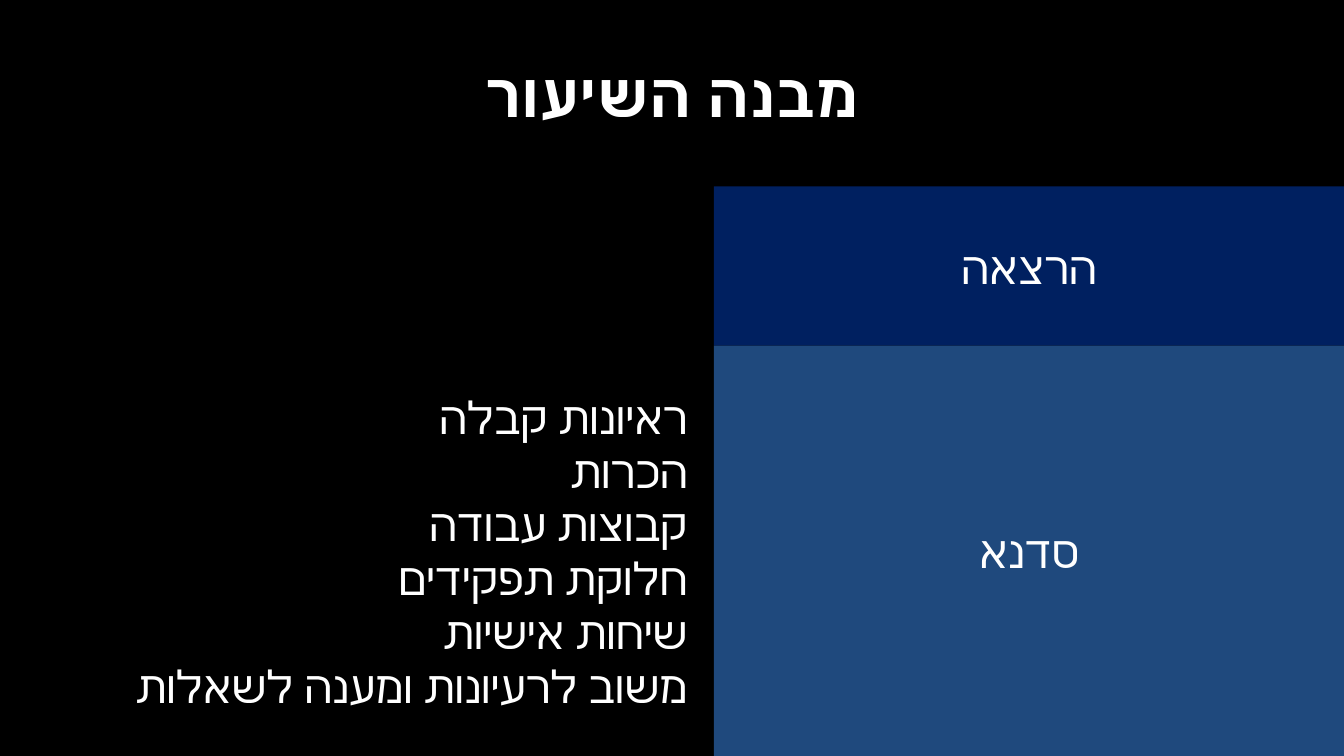
import pptx
import pptx.util
import pptx.dml.color
import pptx.enum.shapes
import pptx.enum.text
import pptx.oxml
import pptx.oxml.ns

WIDE, HIGH = 13.33, 7.5
TOP, MID, SPLIT = 1.85, 3.43, 7.08
FONT = "League Spartan"
INK = {"black": "000000", "navy": "002060", "blue": "1F497D", "white": "FFFFFF"}
ALIGN = pptx.enum.text.PP_ALIGN

deck = pptx.Presentation()
deck.slide_width = pptx.util.Inches(WIDE)
deck.slide_height = pptx.util.Inches(HIGH)
slide = deck.slides.add_slide(deck.slide_layouts[6])


def paint(fill, name):
    fill.solid()
    fill.fore_color.rgb = pptx.dml.color.RGBColor.from_string(INK[name])


def write(shape, lines, size, align, bold=False):
    frame = shape.text_frame
    frame.word_wrap = True
    frame.vertical_anchor = pptx.enum.text.MSO_ANCHOR.MIDDLE
    for i, line in enumerate(lines):
        para = frame.add_paragraph() if i else frame.paragraphs[0]
        para.alignment = align
        para._p.get_or_add_pPr().set("rtl", "1")
        run = para.add_run()
        run.text = line
        run.font.name = FONT
        run.font.size = pptx.util.Pt(size)
        run.font.bold = bold
        paint(run.font.fill, "white")
        script = pptx.oxml.parse_xml(f'<a:cs {pptx.oxml.ns.nsdecls("a")} typeface="{FONT}"/>')
        run.font._element.append(script)


paint(slide.background.fill, "black")

title = slide.shapes.add_textbox(*map(pptx.util.Inches, (WIDE * 0.05, 0.3, WIDE * 0.9, 1.25)))
write(title, ["מבנה השיעור"], 44, ALIGN.CENTER, True)

topics = [
    "ראיונות קבלה",
    "הכרות",
    "קבוצות עבודה",
    "חלוקת תפקידים",
    "שיחות אישיות",
    "משוב לרעיונות ומענה לשאלות",
]
panels = [
    (SPLIT, TOP, WIDE - SPLIT, MID - TOP, "navy", ["הרצאה"], ALIGN.CENTER),
    (SPLIT, MID, WIDE - SPLIT, HIGH - MID, "blue", ["סדנא"], ALIGN.CENTER),
    (0.14, MID, 6.78, HIGH - MID, "black", topics, ALIGN.RIGHT),
]
for *box, tone, lines, align in panels:
    panel = slide.shapes.add_shape(
        pptx.enum.shapes.MSO_SHAPE.RECTANGLE, *map(pptx.util.Inches, box))
    panel.shadow.inherit = False
    panel.line.fill.background()
    paint(panel.fill, tone)
    write(panel, lines, 32, align)

deck.save("out.pptx")
